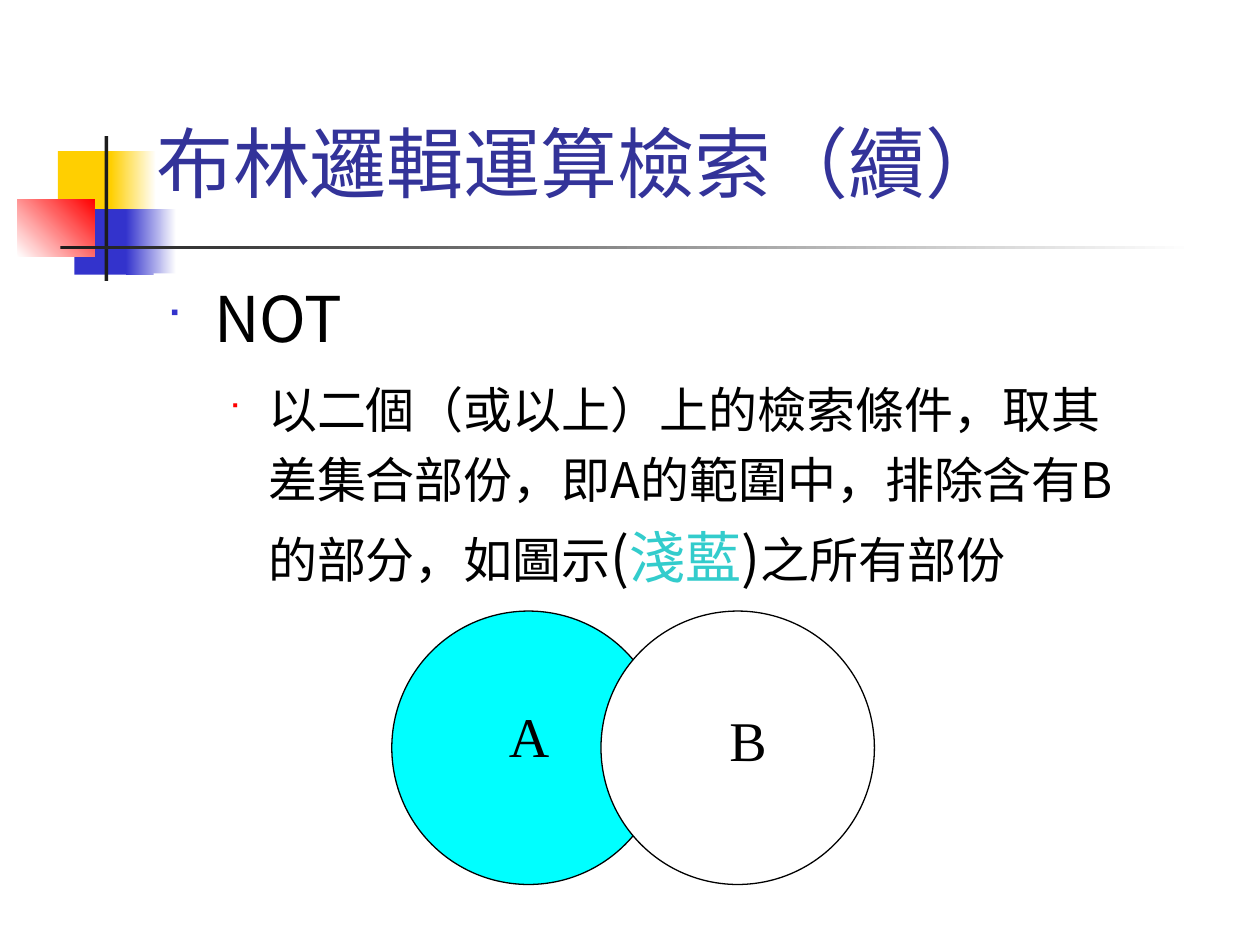
from lxml import etree
from pptx import Presentation
from pptx.dml.color import RGBColor
from pptx.enum.shapes import MSO_SHAPE
from pptx.enum.text import MSO_ANCHOR
from pptx.oxml import parse_xml
from pptx.oxml.ns import nsdecls, qn
from pptx.util import Inches, Pt

WHITE = RGBColor(0xFF, 0xFF, 0xFF)
BLACK = RGBColor(0, 0, 0)
CHARCOAL = RGBColor(0x1C, 0x1C, 0x1C)
YELLOW = RGBColor(0xFF, 0xCF, 0x01)
BLUE = RGBColor(0x33, 0x33, 0xCC)
NAVY = RGBColor(0x33, 0x33, 0x99)
RED = RGBColor(0xFF, 0, 0)
CYAN = RGBColor(0, 0xFF, 0xFF)
TEAL = RGBColor(0x33, 0xCC, 0xCC)
SANS, SERIF = "Noto Sans CJK SC", "Times New Roman"


def add_block(shapes, x, y, w, h, fill, fade_to=None, angle=0,
              kind=MSO_SHAPE.RECTANGLE, line=None):
    """Add a shape with a solid fill, or a gradient when fade_to is given."""
    sp = shapes.add_shape(kind, Inches(x), Inches(y), Inches(w), Inches(h))
    sp.shadow.inherit = False
    if fade_to is None:
        sp.fill.solid()
        sp.fill.fore_color.rgb = fill
    else:
        sp.fill.gradient()
        sp.fill.gradient_angle = angle
        for stop, color in zip(sp.fill.gradient_stops, (fill, fade_to)):
            stop.color.rgb = color
    if line is None:
        sp.line.fill.background()
    else:
        sp.line.color.rgb = line
        sp.line.width = Pt(0.75)
    return sp


def add_text_frame(shapes, x, y, w, h, anchor=MSO_ANCHOR.TOP):
    sp = shapes.add_textbox(Inches(x), Inches(y), Inches(w), Inches(h))
    tf = sp.text_frame
    tf.word_wrap = True
    tf.vertical_anchor = anchor
    return sp, tf


def add_run(p, text, size, color=BLACK, font=SANS):
    r = p.add_run()
    r.text = text
    r.font.size = Pt(size)
    r.font.color.rgb = color
    r.font.name = font
    ea = etree.SubElement(r._r.get_or_add_rPr(), qn("a:ea"))
    ea.set("typeface", font)
    return r


def set_bullet(p, margin, hang, color, percent):
    pPr = p._p.get_or_add_pPr()
    pPr.set("marL", str(Inches(margin)))
    pPr.set("indent", str(-Inches(hang)))
    for xml in (f'<a:buClr {nsdecls("a")}><a:srgbClr val="{color}"/></a:buClr>',
                f'<a:buSzPct {nsdecls("a")} val="{percent * 1000}"/>',
                f'<a:buFont {nsdecls("a")} typeface="Wingdings"/>',
                f'<a:buChar {nsdecls("a")} char="■"/>'):
        pPr.append(parse_xml(xml))


def add_ornament(shapes, x, y):
    """Coloured squares and the crossing rules beside the title."""
    for dx, dy, solid_w, fade_dx, fade_w, color in (
            (0.32, 0.12, 0.48, 0.42, 0.36, YELLOW),
            (0.45, 0.58, 0.46, 0.41, 0.4, BLUE)):
        add_block(shapes, x + dx, y + dy, solid_w, 0.52, color)
        add_block(shapes, x + dx + fade_dx, y + dy, fade_w, 0.52, color, WHITE)
    add_block(shapes, x, y + 0.5, 0.61, 0.46, WHITE, RED, angle=45)
    add_block(shapes, x + 0.69, y, 0.03, 1.15, CHARCOAL)
    add_block(shapes, x + 0.34, y + 0.87, 9, 0.03, CHARCOAL, WHITE)


def add_title(shapes, x, y, w, h):
    _, tf = add_text_frame(shapes, x, y, w, h, MSO_ANCHOR.BOTTOM)
    r = add_run(tf.paragraphs[0], "布林邏輯運算檢索（續）", 44, NAVY)
    # Soft grey text shadow
    shadow = parse_xml(
        f'<a:effectLst {nsdecls("a")}><a:outerShdw dist="38100" dir="2700000">'
        '<a:srgbClr val="C0C0C0"/></a:outerShdw></a:effectLst>')
    r._r.rPr.find(qn("a:solidFill")).addnext(shadow)


def add_body(shapes, x, y, w, h):
    sp, tf = add_text_frame(shapes, x, y, w, h)
    sp.fill.solid()
    sp.fill.fore_color.rgb = WHITE

    p = tf.paragraphs[0]
    set_bullet(p, 0.38, 0.38, BLUE, 60)
    add_run(p, "NOT", 36)

    p = tf.add_paragraph()
    p.level = 1
    p.line_spacing = 1.2
    p.space_before = Pt(7)
    set_bullet(p, 0.81, 0.31, RED, 55)
    for text, size, color in (
            ("以二個（或以上）上的檢索條件，取其差集合部份，"
             "即A的範圍中，排除含有B的部分，如圖示", 28, BLACK),
            ("(", 32, BLACK), ("淺藍", 32, TEAL), (")", 32, BLACK),
            ("之所有部份", 28, BLACK)):
        add_run(p, text, size, color)


def add_venn(shapes, x, y, size):
    """Two overlapping circles, with B covering part of A."""
    group = shapes.add_group_shape().shapes
    for name, dx, fill, label_dx, label_dy in (
            ("A", 0, CYAN, 0.83, 0.67), ("B", 1.66, WHITE, 0.92, 0.7)):
        add_block(group, x + dx, y, size, size, fill,
                  kind=MSO_SHAPE.OVAL, line=BLACK)
        _, tf = add_text_frame(group, x + dx + label_dx, y + label_dy, 1.08, 0.64)
        add_run(tf.paragraphs[0], name, 32, font=SERIF)


def main():
    prs = Presentation()
    prs.slide_width, prs.slide_height = Inches(10), Inches(7.5)
    s = prs.slides.add_slide(prs.slide_layouts[6])
    add_ornament(s.shapes, 0.14, 1.08)
    add_title(s.shapes, 1.14, 0.28, 8.36, 1.42)
    add_body(s.shapes, 1.22, 2.17, 7.72, 4.24)
    add_venn(s.shapes, 3.11, 4.85, 2.17)
    prs.save("out.pptx")


if __name__ == "__main__":
    main()
